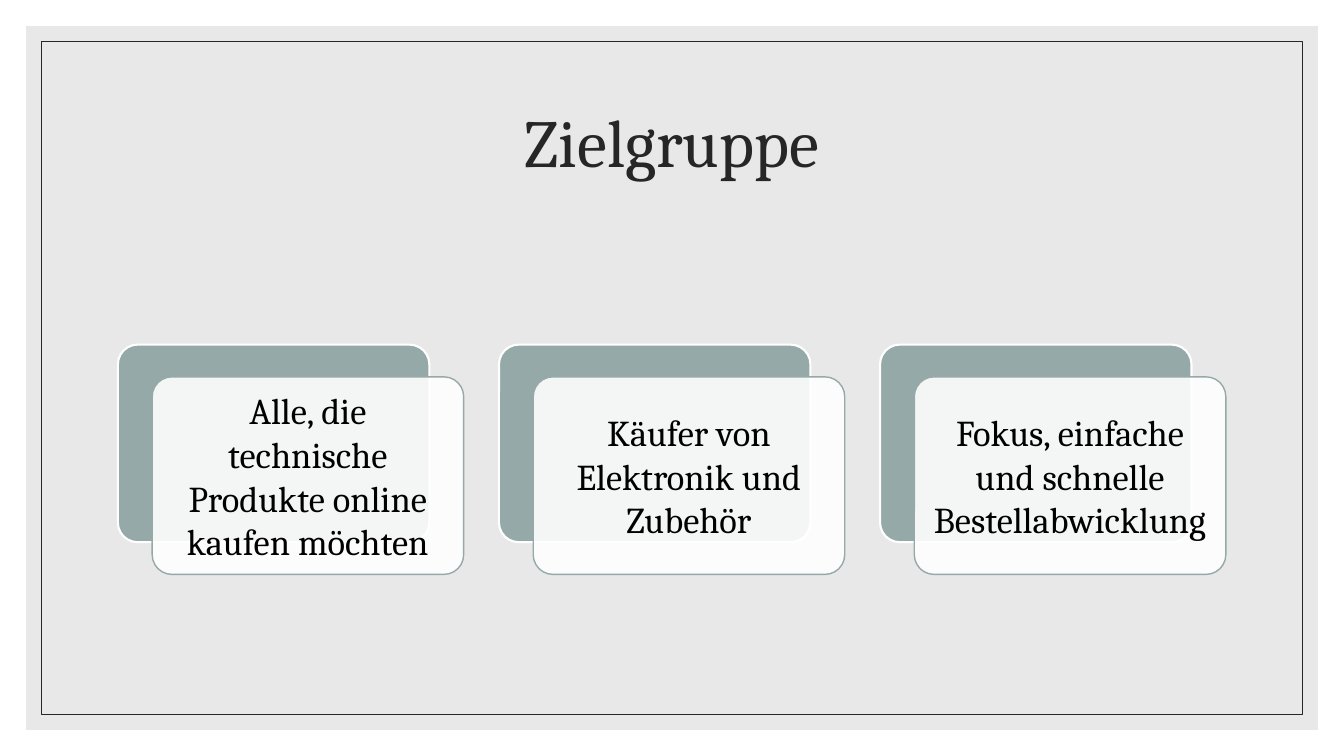
from dataclasses import dataclass

from lxml import etree
from pptx import Presentation
from pptx.dml.color import RGBColor
from pptx.enum.shapes import MSO_SHAPE
from pptx.enum.text import MSO_ANCHOR, MSO_AUTO_SIZE, PP_ALIGN
from pptx.oxml.ns import qn
from pptx.util import Pt

RECTANGLE = MSO_SHAPE.RECTANGLE
ROUNDED = MSO_SHAPE.ROUNDED_RECTANGLE
MIDDLE = MSO_ANCHOR.MIDDLE
NO_AUTOFIT = MSO_AUTO_SIZE.NONE
CENTER = PP_ALIGN.CENTER

SLIDE_WIDTH, SLIDE_HEIGHT = 960, 540
PANEL_MARGIN, FRAME_MARGIN = 18.7, 29.5
TITLE_BOX = (84, 50.4, 792, 108)
CARD_LEFT, CARD_TOP = 84.2, 246.2
CARD_WIDTH, CARD_HEIGHT = 222.5, 141.1
CARD_PITCH = 272.2
CARD_SHIFT_X, CARD_SHIFT_Y = 24.5, 23

AUDIENCES = [
    "Alle, die technische Produkte online kaufen möchten",
    "Käufer von Elektronik und Zubehör",
    "Fokus, einfache und schnelle Bestellabwicklung",
]


@dataclass(frozen=True)
class Theme:
    font: str = "Cambria"
    title_size: int = 48
    card_size: int = 26
    dark: str = "262626"
    text: str = "000000"
    panel: str = "D9D9D9"
    accent: str = "96A9A9"
    white: str = "FFFFFF"


def write_text(shape, text, *, font, size, color, inset, line_spacing=1.0):
    frame = shape.text_frame
    frame.text = text
    frame.word_wrap = True
    frame.auto_size = NO_AUTOFIT
    frame.vertical_anchor = MIDDLE
    frame.margin_left = frame.margin_right = Pt(inset)
    frame.margin_top = frame.margin_bottom = Pt(inset)
    paragraph = frame.paragraphs[0]
    paragraph.alignment = CENTER
    paragraph.line_spacing = line_spacing
    run_font = paragraph.runs[0].font
    run_font.name = font
    run_font.size = Pt(size)
    run_font.color.rgb = RGBColor.from_string(color)


class SlideBuilder:
    def __init__(self, slide, theme):
        self.slide = slide
        self.theme = theme

    def box(self, kind, left, top, width, height, *, fill=None, opacity=100,
            line=None, line_width=1):
        shape = self.slide.shapes.add_shape(
            kind, Pt(left), Pt(top), Pt(width), Pt(height))
        shape.shadow.inherit = False
        if kind == ROUNDED:
            shape.adjustments[0] = 0.1
        if fill:
            shape.fill.solid()
            shape.fill.fore_color.rgb = RGBColor.from_string(fill)
            if opacity < 100:
                color = shape.element.spPr.find(qn("a:solidFill"))[0]
                etree.SubElement(color, qn("a:alpha"), val=str(opacity * 1000))
        else:
            shape.fill.background()
        if line:
            shape.line.color.rgb = RGBColor.from_string(line)
            shape.line.width = Pt(line_width)
        else:
            shape.line.fill.background()
        return shape

    def bordered_area(self, margin, **style):
        return self.box(RECTANGLE, margin, margin, SLIDE_WIDTH - 2 * margin,
                        SLIDE_HEIGHT - 2 * margin, **style)

    def title(self, text):
        title = self.slide.shapes.title
        title.left, title.top, title.width, title.height = map(Pt, TITLE_BOX)
        write_text(title, text, font=self.theme.font, size=self.theme.title_size,
                   color=self.theme.dark, inset=5, line_spacing=0.9)
        title.element.getparent().append(title.element)

    def card(self, left, top, text):
        theme = self.theme
        self.box(ROUNDED, left, top, CARD_WIDTH, CARD_HEIGHT,
                 fill=theme.accent, line=theme.white, line_width=1.5)
        front = self.box(ROUNDED, left + CARD_SHIFT_X, top + CARD_SHIFT_Y,
                         CARD_WIDTH, CARD_HEIGHT, fill=theme.white, opacity=90,
                         line=theme.accent)
        write_text(front, text, font=theme.font, size=theme.card_size,
                   color=theme.text, inset=7.8)


def main():
    presentation = Presentation()
    presentation.slide_width = Pt(SLIDE_WIDTH)
    presentation.slide_height = Pt(SLIDE_HEIGHT)
    slide = presentation.slides.add_slide(presentation.slide_layouts[5])
    theme = Theme()
    builder = SlideBuilder(slide, theme)
    builder.bordered_area(PANEL_MARGIN, fill=theme.panel, opacity=60)
    builder.bordered_area(FRAME_MARGIN, line=theme.dark, line_width=0.5)
    builder.title("Zielgruppe")
    for index, audience in enumerate(AUDIENCES):
        builder.card(CARD_LEFT + index * CARD_PITCH, CARD_TOP, audience)
    presentation.save("out.pptx")


if __name__ == "__main__":
    main()
